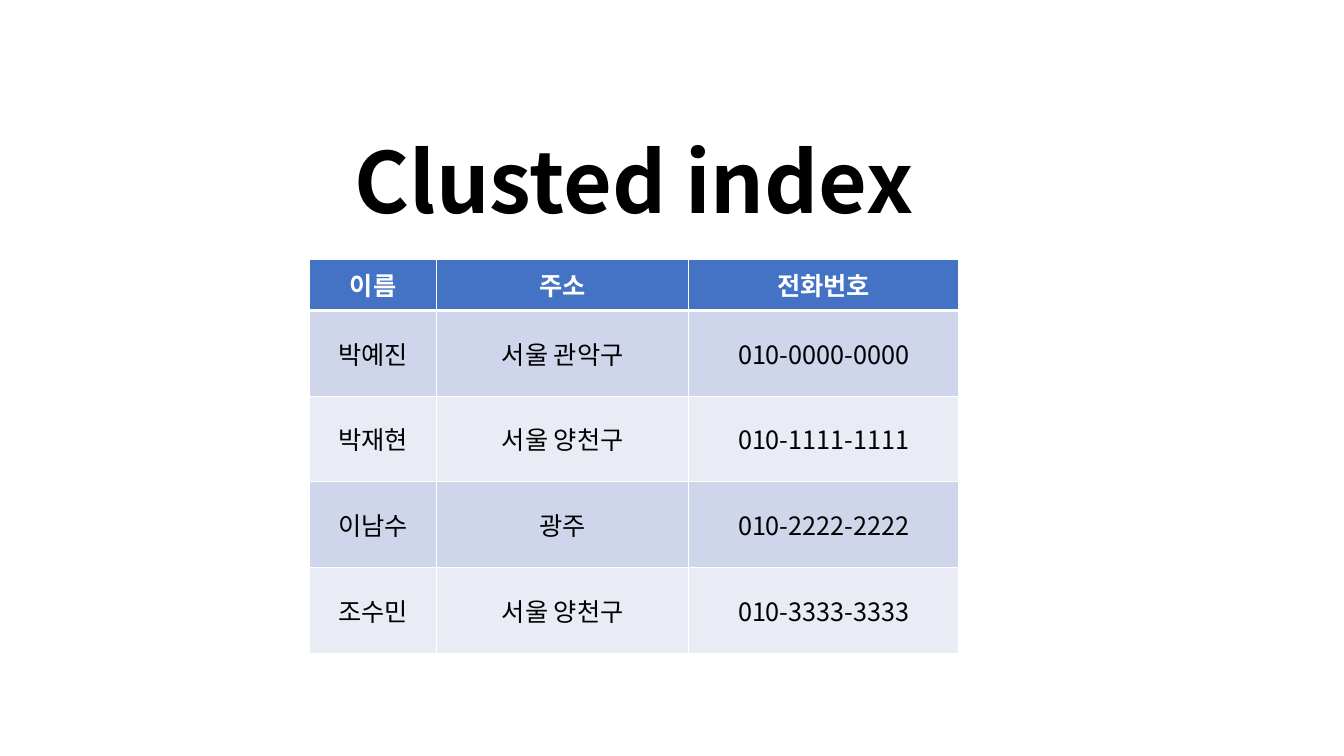
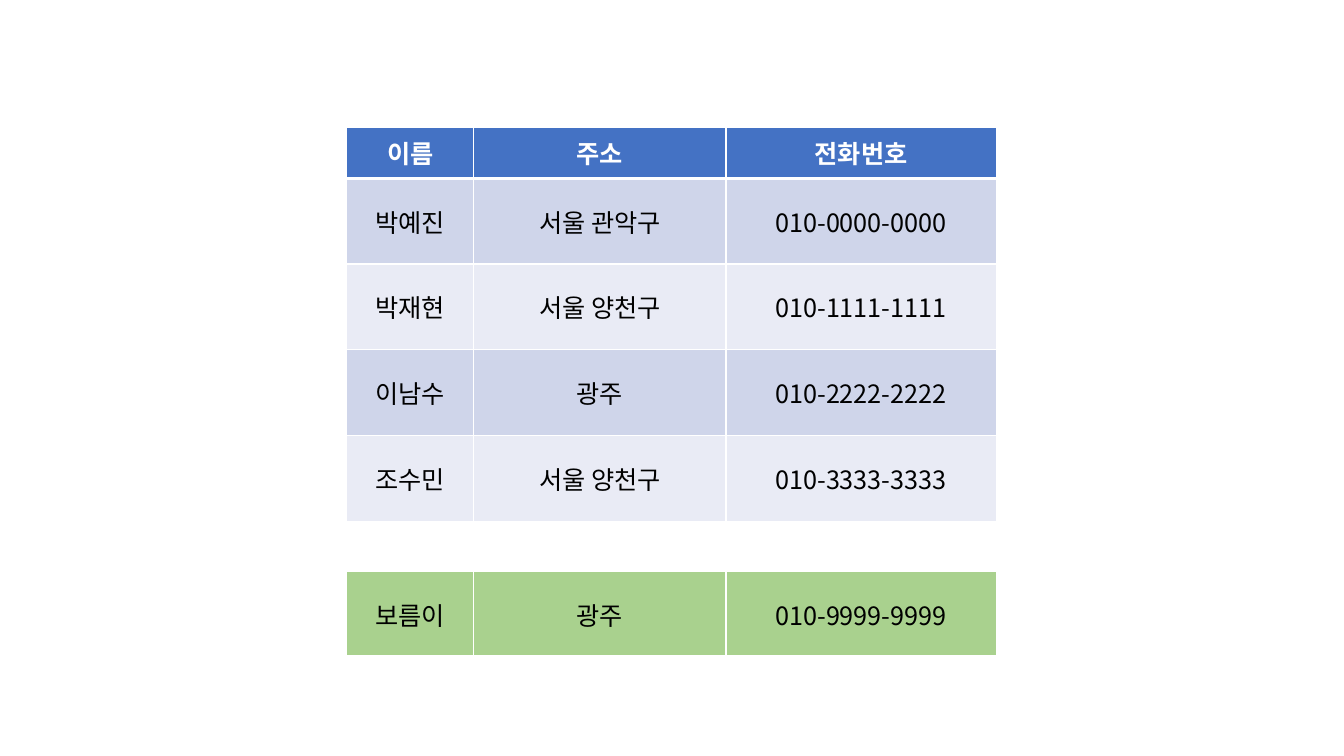
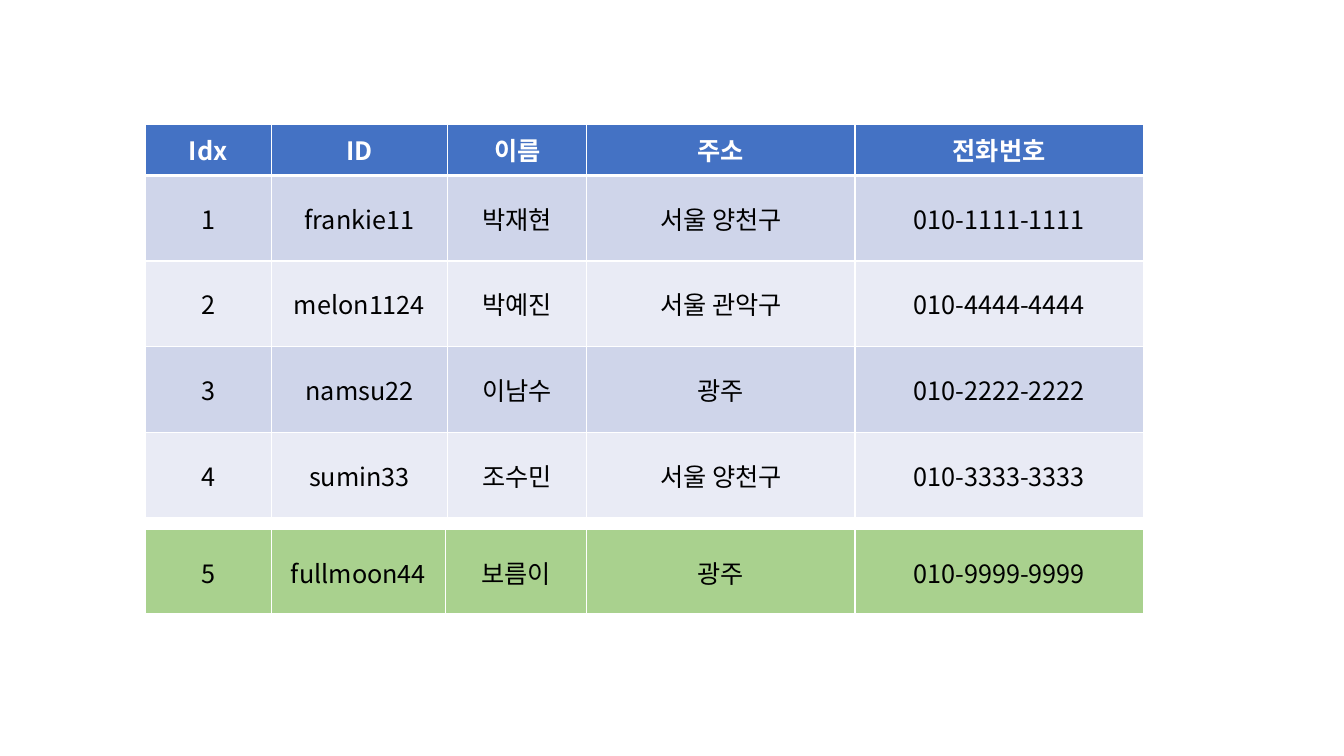
from lxml import etree
from pptx import Presentation
from pptx.dml.color import RGBColor
from pptx.enum.text import MSO_ANCHOR, PP_ALIGN
from pptx.oxml.ns import qn
from pptx.util import Inches, Pt

CENTER = PP_ALIGN.CENTER
MIDDLE = MSO_ANCHOR.MIDDLE
BOTTOM = MSO_ANCHOR.BOTTOM

WHITE = RGBColor(0xFF, 0xFF, 0xFF)
BLACK = RGBColor(0x00, 0x00, 0x00)
HEADER_BLUE = RGBColor(0x44, 0x72, 0xC4)
BAND_DARK = RGBColor(0xCF, 0xD5, 0xEA)
BAND_LIGHT = RGBColor(0xE9, 0xEB, 0xF5)
NEW_GREEN = RGBColor(0xA9, 0xD1, 0x8E)

FONT = "Noto Sans CJK KR"
HEADER_HEIGHT, ROW_HEIGHT = 0.51, 0.85
THIN, THICK = 1, 3

CONTACT_COLUMNS = [1.26, 2.5, 2.68]
MEMBER_COLUMNS = [1.25, 1.75, 1.38, 2.66, 2.86]
NEW_MEMBER_COLUMNS = [1.25, 1.73, 1.4, 2.66, 2.86]

CONTACT_HEADER = ["이름", "주소", "전화번호"]
CONTACTS = [
    ["박예진", "서울 관악구", "010-0000-0000"],
    ["박재현", "서울 양천구", "010-1111-1111"],
    ["이남수", "광주", "010-2222-2222"],
    ["조수민", "서울 양천구", "010-3333-3333"],
]
NEW_CONTACT = ["보름이", "광주", "010-9999-9999"]
MEMBER_HEADER = ["Idx", "ID"] + CONTACT_HEADER
MEMBERS = [
    ["1", "frankie11", "박재현", "서울 양천구", "010-1111-1111"],
    ["2", "melon1124", "박예진", "서울 관악구", "010-4444-4444"],
    ["3", "namsu22", "이남수", "광주", "010-2222-2222"],
    ["4", "sumin33", "조수민", "서울 양천구", "010-3333-3333"],
]
NEW_MEMBER = ["5", "fullmoon44"] + NEW_CONTACT


def write_text(frame, text, size=18, color=BLACK, bold=False, spacing=1.0):
    """Write one centred paragraph in the shared font."""
    para = frame.paragraphs[0]
    para.alignment = CENTER
    para.line_spacing = spacing
    span = para.add_run()
    span.text = text
    span.font.name = FONT
    span.font.size = Pt(size)
    span.font.bold = bold
    span.font.color.rgb = color
    east_asian = etree.SubElement(span.font._element, qn("a:ea"))
    east_asian.set("typeface", FONT)


def add_title(page, text, left, top, width, height):
    """Place the large bold title near the top of its box."""
    box = page.shapes.add_textbox(Inches(left), Inches(top), Inches(width), Inches(height))
    frame = box.text_frame
    frame.word_wrap = True
    frame.vertical_anchor = BOTTOM
    frame.margin_top = 0
    frame.margin_bottom = Inches(0.26)
    write_text(frame, text, size=60, bold=True, spacing=0.9)


def set_borders(cell, top, bottom):
    """Give a cell white borders, with top and bottom widths in points."""
    properties = cell._tc.get_or_add_tcPr()
    for side, width in (("L", THIN), ("R", THIN), ("T", top), ("B", bottom)):
        line = etree.SubElement(properties, qn(f"a:ln{side}"), w=str(Pt(width)))
        fill = etree.SubElement(line, qn("a:solidFill"))
        etree.SubElement(fill, qn("a:srgbClr"), val=str(WHITE))


def add_grid(page, left, top, columns, rows, heights, fills, bottoms, header=False):
    """Draw a table whose rows each have a height, a fill and a bottom border."""
    shape = page.shapes.add_table(
        len(rows), len(columns), Inches(left), Inches(top),
        Inches(sum(columns)), Inches(sum(heights)))
    table = shape.table
    table.first_row = header
    table.horz_banding = False
    for column, width in zip(table.columns, columns):
        column.width = Inches(width)
    tops = [THIN] + bottoms[:-1]
    for index, values in enumerate(rows):
        table.rows[index].height = Inches(heights[index])
        is_header = header and index == 0
        for cell, value in zip(table.rows[index].cells, values):
            set_borders(cell, tops[index], bottoms[index])
            cell.fill.solid()
            cell.fill.fore_color.rgb = fills[index]
            cell.vertical_anchor = MIDDLE
            write_text(cell.text_frame, value, bold=is_header,
                       color=WHITE if is_header else BLACK)


def add_records(page, left, top, columns, header, records):
    """Draw a header row over banded records."""
    count = len(records)
    bands = [BAND_LIGHT if index % 2 else BAND_DARK for index in range(count)]
    add_grid(page, left, top, columns, [header] + records,
             heights=[HEADER_HEIGHT] + [ROW_HEIGHT] * count,
             fills=[HEADER_BLUE] + bands,
             bottoms=[THICK] + [THIN] * count, header=True)


def add_new_record(page, left, top, columns, record):
    """Draw one green row for a record about to be inserted."""
    add_grid(page, left, top, columns, [record], heights=[ROW_HEIGHT],
             fills=[NEW_GREEN], bottoms=[THICK])


def main():
    """Build the three slides and save the deck."""
    deck = Presentation()
    deck.slide_width, deck.slide_height = Inches(13.33), Inches(7.5)
    blank = deck.slide_layouts[6]
    title_page, contact_page, member_page = [deck.slides.add_slide(blank) for _ in range(3)]

    add_records(title_page, 3.07, 2.57, CONTACT_COLUMNS, CONTACT_HEADER, CONTACTS)
    add_title(title_page, "Clusted index", 1.17, 1.56, 10.24, 1)

    add_records(contact_page, 3.44, 1.26, CONTACT_COLUMNS, CONTACT_HEADER, CONTACTS)
    add_new_record(contact_page, 3.44, 5.67, CONTACT_COLUMNS, NEW_CONTACT)

    add_records(member_page, 1.44, 1.23, MEMBER_COLUMNS, MEMBER_HEADER, MEMBERS)
    add_new_record(member_page, 1.44, 5.25, NEW_MEMBER_COLUMNS, NEW_MEMBER)

    deck.save("out.pptx")


if __name__ == "__main__":
    main()
